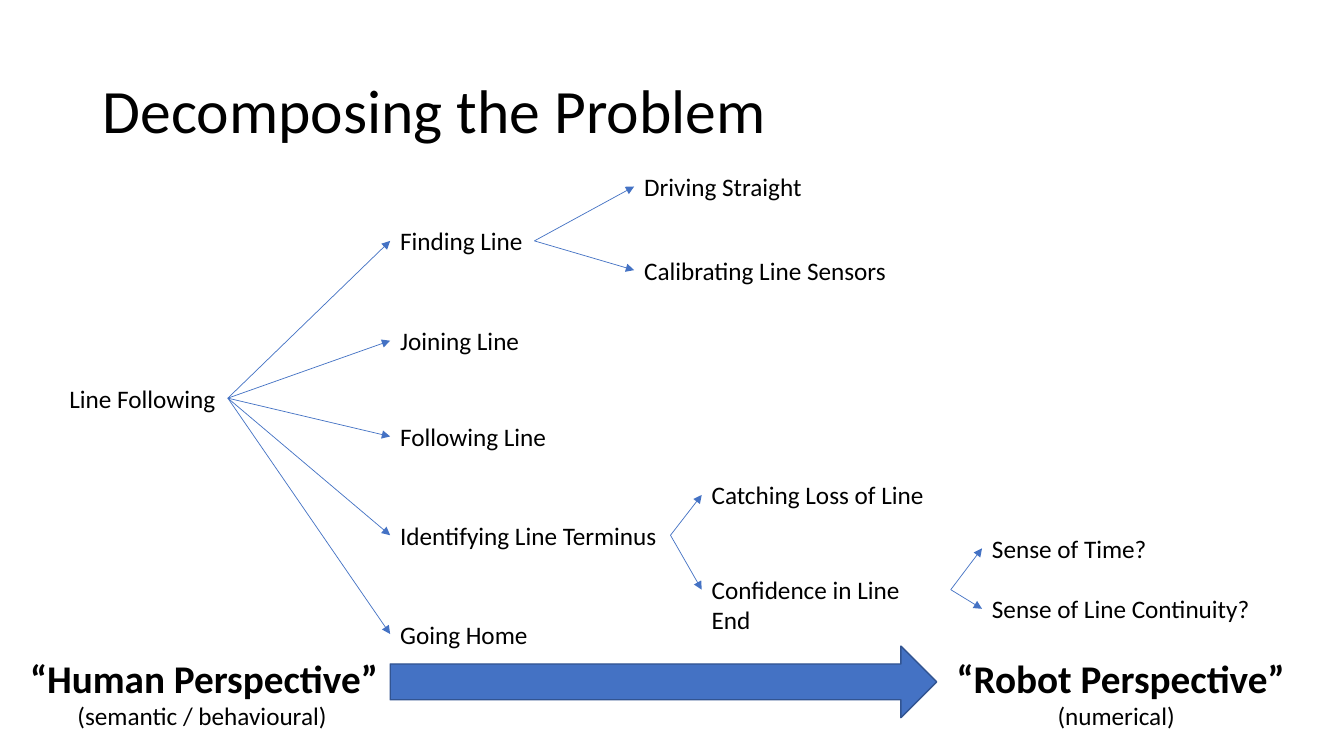
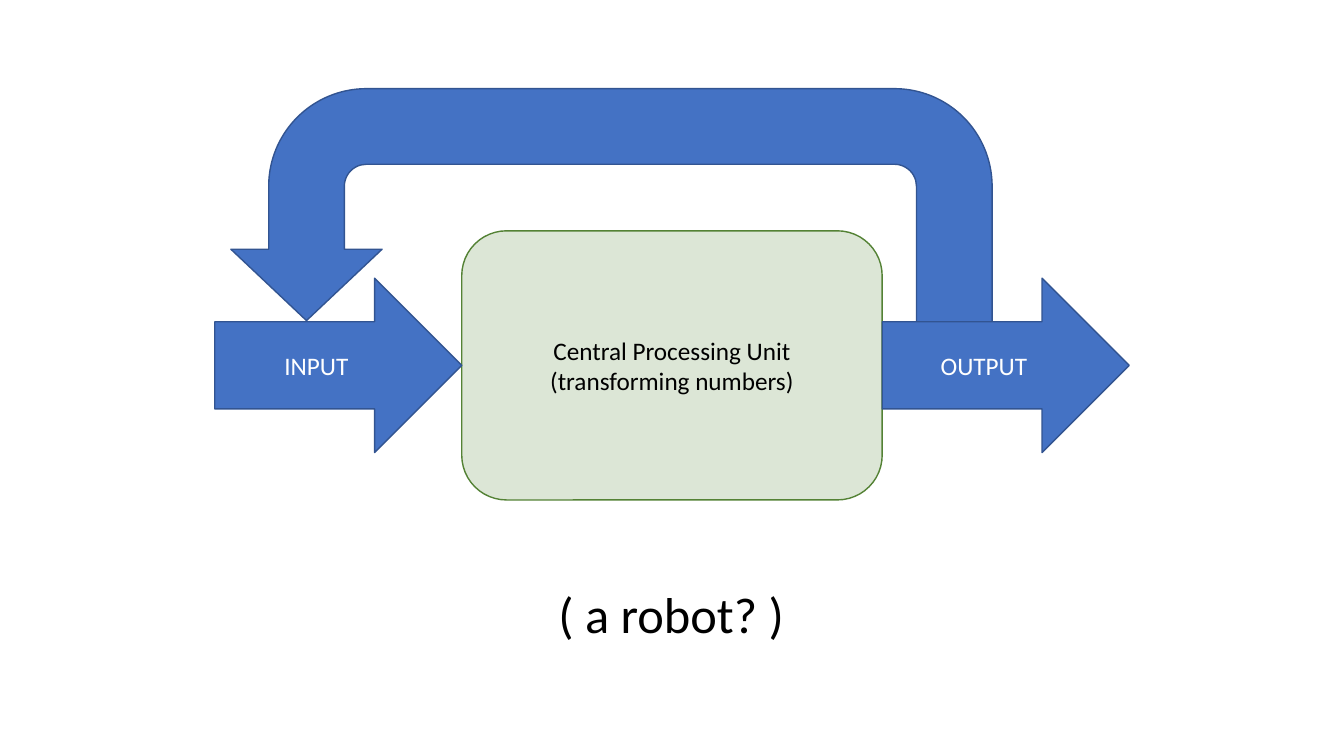
import pptx
import pptx.util
import pptx.dml.color
import pptx.enum.shapes
import pptx.enum.text
import pptx.oxml
import pptx.oxml.ns

Inches = pptx.util.Inches
Pt = pptx.util.Pt
RGBColor = pptx.dml.color.RGBColor
Shape = pptx.enum.shapes.MSO_SHAPE
Align = pptx.enum.text.PP_ALIGN
Anchor = pptx.enum.text.MSO_ANCHOR

BLACK = RGBColor(0x00, 0x00, 0x00)
WHITE = RGBColor(0xFF, 0xFF, 0xFF)
BLUE = RGBColor(0x44, 0x72, 0xC4)
NAVY = RGBColor(0x32, 0x54, 0x91)
GREEN = RGBColor(0x54, 0x82, 0x35)
FONT = "Calibri"


def style(frame, size, color=BLACK, bold=False, align=Align.LEFT):
    for para in frame.paragraphs:
        para.alignment = align
        for run in para.runs:
            run.font.name = FONT
            run.font.size = Pt(size)
            run.font.bold = bold
            run.font.color.rgb = color


def block(slide, kind, box, fill, edge, text="", color=WHITE):
    shape = slide.shapes.add_shape(kind, *map(Inches, box))
    shape.shadow.inherit = False
    shape.fill.solid()
    shape.fill.fore_color.rgb = fill
    shape.line.color.rgb = edge
    shape.line.width = Pt(1)
    if text:
        shape.text_frame.text = text
        shape.text_frame.vertical_anchor = Anchor.MIDDLE
        style(shape.text_frame, 18, color, align=Align.CENTER)
    return shape


deck = pptx.Presentation()
deck.slide_width = Inches(13.33)
deck.slide_height = Inches(7.5)
tree = deck.slides.add_slide(deck.slide_layouts[5])
loop = deck.slides.add_slide(deck.slide_layouts[6])

# Title
title = tree.shapes.title
title.left, title.top = Inches(0.92), Inches(0.4)
title.width, title.height = Inches(11.5), Inches(1.45)
title.text_frame.text = "Decomposing the Problem"
title.text_frame.vertical_anchor = Anchor.MIDDLE
title.text_frame.paragraphs[0].line_spacing = 0.9
style(title.text_frame, 44)

# Arrow between the two perspectives
block(tree, Shape.RIGHT_ARROW, (3.87, 6.41, 5.42, 0.71), BLUE, NAVY)

# Labels: slide, text, left, top, width, height, size, bold, parent
labels = [
    (tree, "“Human Perspective”", 0.2, 6.44, 3.69, 0.57, 28, True, None),
    (tree, "“Robot Perspective”", 9.39, 6.44, 3.49, 0.57, 28, True, None),
    (loop, "( a robot? )", 5.44, 5.74, 2.46, 0.71, 36, False, None),
]
nodes = [
    ("(semantic / behavioural)", 0.67, 6.9, 2.71, None),
    ("(numerical)", 10.39, 6.9, 1.38, None),
    ("Line Following", 0.59, 3.75, 1.67, None),
    ("Finding Line", 3.87, 2.19, 1.43, "Line Following"),
    ("Joining Line", 3.87, 3.18, 1.4, "Line Following"),
    ("Following Line", 3.87, 4.13, 1.67, "Line Following"),
    ("Identifying Line Terminus", 3.87, 5.11, 2.78, "Line Following"),
    ("Going Home", 3.87, 6.09, 1.48, "Line Following"),
    ("Driving Straight", 6.29, 1.65, 1.78, "Finding Line"),
    ("Calibrating Line Sensors", 6.29, 2.48, 2.63, "Finding Line"),
    ("Catching Loss of Line", 6.96, 4.71, 2.33, "Identifying Line Terminus"),
    ("Confidence in Line End", 6.96, 5.65, 2.47, "Identifying Line Terminus"),
    ("Sense of Time?", 9.74, 5.24, 1.75, "Confidence in Line End"),
    ("Sense of Line Continuity?", 9.74, 5.84, 2.87, "Confidence in Line End"),
]
for text, left, top, width, parent in nodes:
    labels.append((tree, text, left, top, width, 0.4, 18, False, parent))

boxes = {}
for slide, text, left, top, width, height, size, bold, parent in labels:
    box = slide.shapes.add_textbox(*map(Inches, (left, top, width, height)))
    box.text_frame.word_wrap = False
    box.text_frame.text = text
    style(box.text_frame, size, bold=bold)
    boxes[text] = box

    # Arrow from the parent's right side to this label's left side
    if parent:
        line = slide.shapes.add_connector(
            pptx.enum.shapes.MSO_CONNECTOR.STRAIGHT, 0, 0, 0, 0)
        line.begin_connect(boxes[parent], 3)
        line.end_connect(box, 1)
        line.line.color.rgb = BLUE
        line.line.width = Pt(0.5)
        props = line.element.spPr
        head = pptx.oxml.parse_xml(
            f'<a:tailEnd {pptx.oxml.ns.nsdecls("a")} type="triangle"/>')
        props.find(pptx.oxml.ns.qn("a:ln")).append(head)
        props.append(pptx.oxml.parse_xml(
            f'<a:effectLst {pptx.oxml.ns.nsdecls("a")}/>'))

# Feedback arrow
back = block(loop, Shape.U_TURN_ARROW, (2.29, 0.88, 7.55, 3), BLUE, NAVY)
for index, value in enumerate((0.25, 0.25, 0.236, 0.323, 0.767)):
    back.adjustments[index] = value
back.element.spPr.find(pptx.oxml.ns.qn("a:xfrm")).set("flipH", "1")

# Processing unit with a see-through fill
unit = block(loop, Shape.ROUNDED_RECTANGLE, (4.58, 2.29, 4.17, 2.67), GREEN, GREEN,
             "Central Processing Unit\n(transforming numbers)", BLACK)
tint = unit.element.spPr.find(
    pptx.oxml.ns.qn("a:solidFill")).find(pptx.oxml.ns.qn("a:srgbClr"))
tint.append(pptx.oxml.parse_xml(
    f'<a:alpha {pptx.oxml.ns.nsdecls("a")} val="20000"/>'))

# Input and output arrows
for text, left in (("INPUT", 2.13), ("OUTPUT", 8.75)):
    block(loop, Shape.RIGHT_ARROW, (left, 2.76, 2.45, 1.73), BLUE, NAVY, text)

deck.save("out.pptx")
